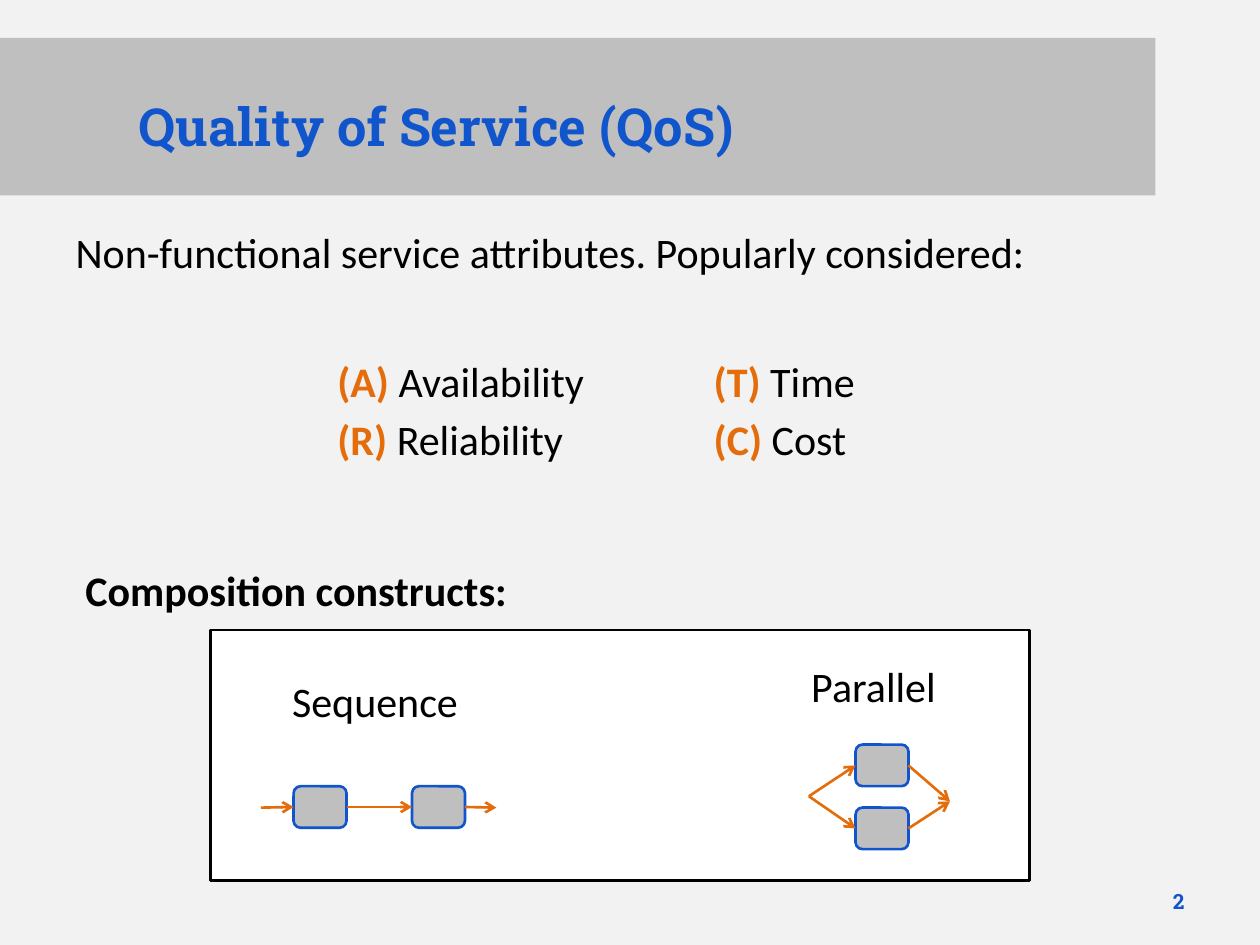
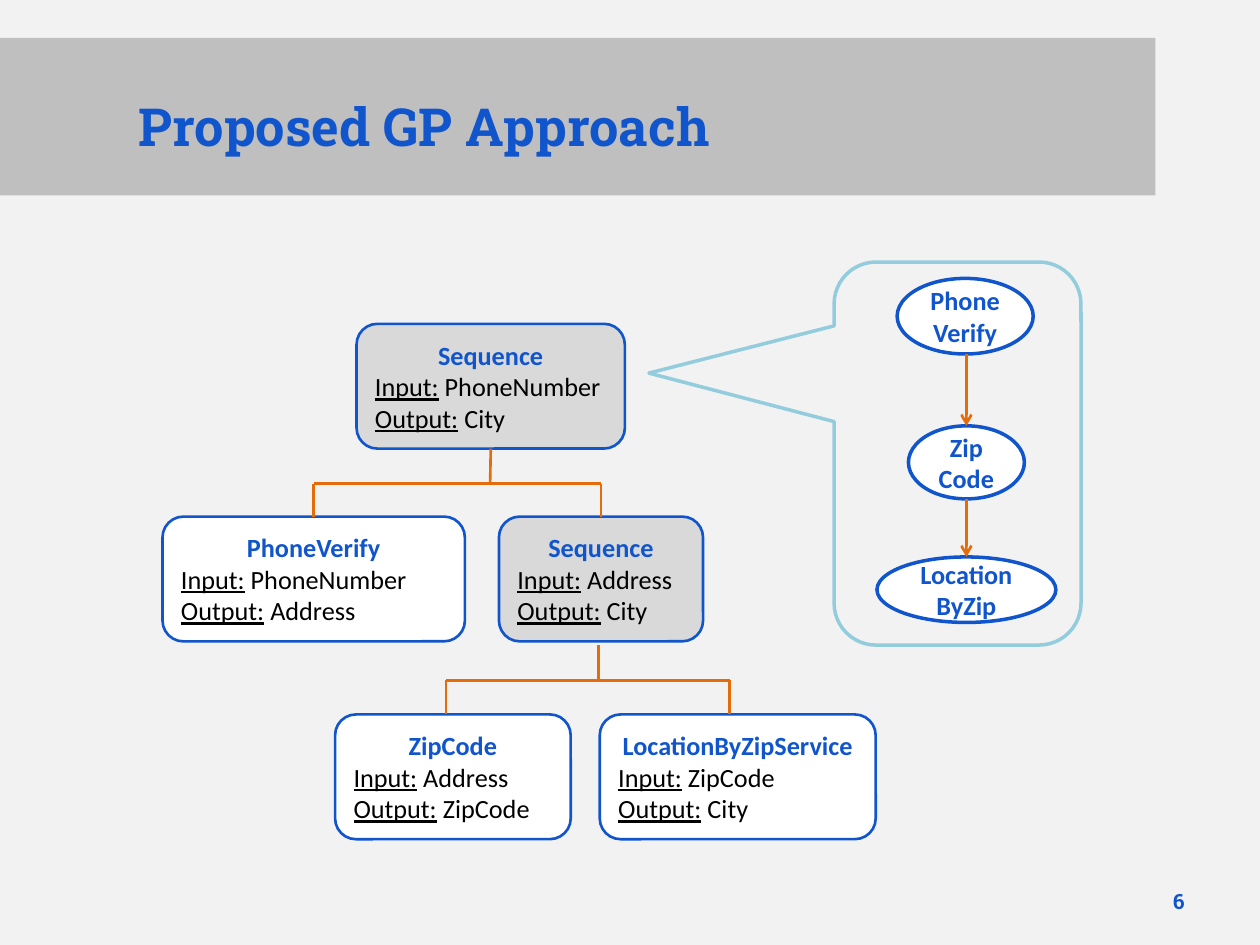
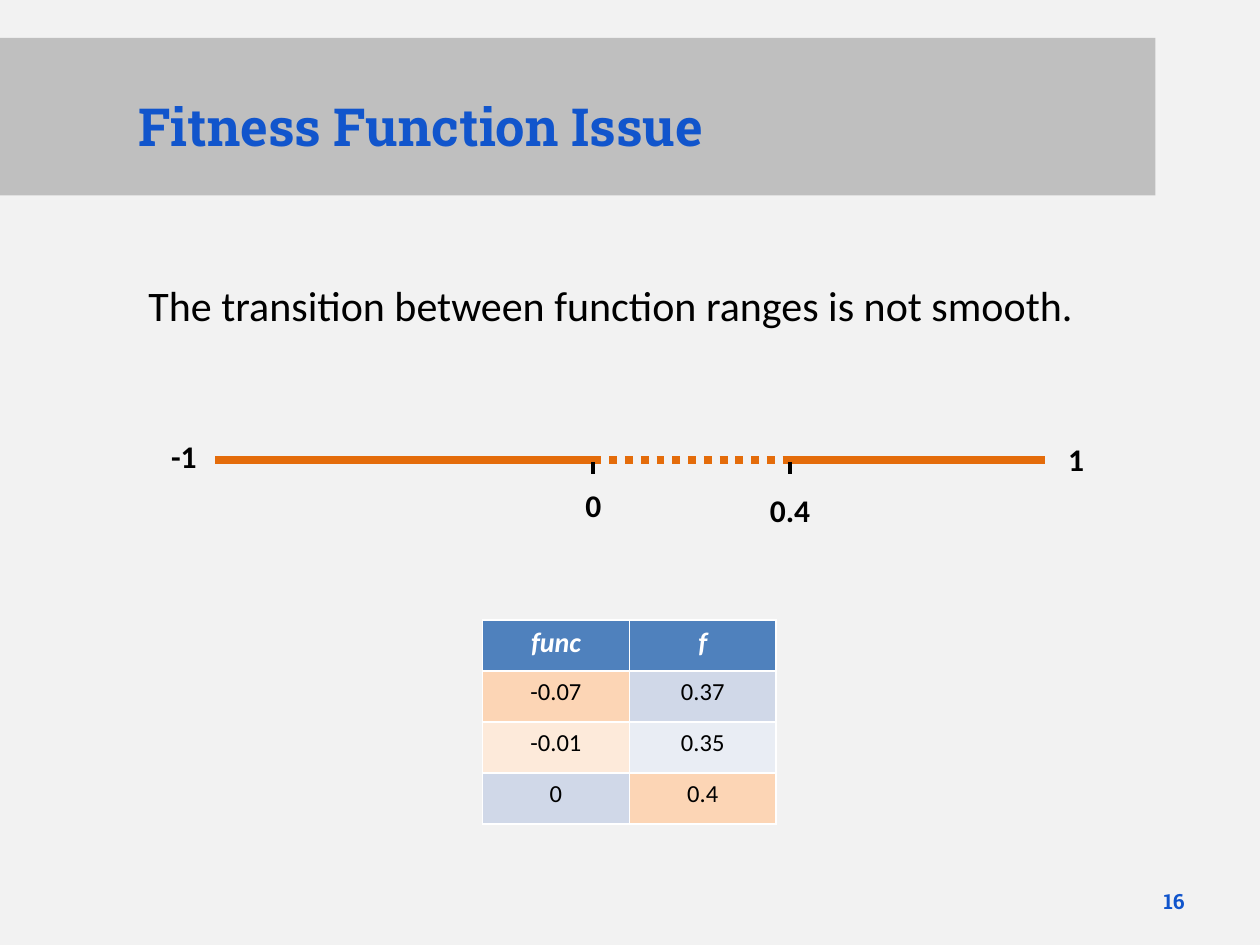
from lxml.etree import SubElement
from pptx import Presentation
from pptx.dml.color import RGBColor
from pptx.enum.dml import MSO_LINE
from pptx.enum.shapes import MSO_CONNECTOR, MSO_SHAPE
from pptx.enum.text import MSO_ANCHOR, PP_ALIGN
from pptx.oxml.ns import qn
from pptx.util import Inches, Pt

BLUE, ORANGE, BLACK, WHITE = "1155CC", "E46C0A", "000000", "FFFFFF"
PAPER, BAND, PALE_GRAY, CALLOUT_LINE = "F2F2F2", "BFBFBF", "D9D9D9", "93CDDD"
SLAB = "Roboto Slab"
TITLE_ONLY, TITLE_AND_BODY = 5, 1
LEFT, CENTER, RIGHT = PP_ALIGN.LEFT, PP_ALIGN.CENTER, PP_ALIGN.RIGHT
TERM = {"color": ORANGE, "bold": True}
HEADING = {"color": BLUE, "bold": True}


def color(value):
    return RGBColor.from_string(value)


def paint(shape, fill):
    shape.fill.solid()
    shape.fill.fore_color.rgb = color(fill)


def place(shape, at):
    for side, length in zip(("left", "top", "width", "height"), at):
        setattr(shape, side, Inches(length))


class Deck:
    def __init__(self):
        self.deck = Presentation()
        self.deck.slide_width, self.deck.slide_height = Inches(10), Inches(7.5)
        paint(self.deck.slide_master.background, PAPER)

    def new_page(self, layout, title, number):
        self.page = self.deck.slides.add_slide(self.deck.slide_layouts[layout])
        band = self.page.shapes.title
        place(band, (0, 0.3, 9.17, 1.25))
        paint(band, BAND)
        band.text_frame.margin_left = Inches(1.1)
        band.text_frame.margin_top = Inches(0.2)
        self.set_lines(band, [[(title, {**HEADING, "name": SLAB})]], size=30)
        self.text((9, 6.95, 0.5, 0.4), [[(number, {**HEADING, "name": SLAB})]],
                  size=12, align=RIGHT, anchor=MSO_ANCHOR.MIDDLE)

    def set_lines(self, box, lines, size=24, align=LEFT, before=0,
                  anchor=MSO_ANCHOR.MIDDLE):
        frame = box.text_frame
        frame.word_wrap = True
        frame.vertical_anchor = anchor
        for index, line in enumerate(lines):
            para = frame.add_paragraph() if index else frame.paragraphs[0]
            para.alignment = align
            para.space_before = Pt(before)
            for text, changes in line:
                span = para.add_run()
                span.text = text
                style = {"name": "Calibri", "size": Pt(size), "bold": False,
                         "color": BLACK, **changes}
                span.font.color.rgb = color(style.pop("color"))
                for key, value in style.items():
                    setattr(span.font, key, value)
        return frame

    def text(self, at, lines, anchor=MSO_ANCHOR.TOP, **style):
        box = self.page.shapes.add_textbox(*map(Inches, at))
        return self.set_lines(box, lines, anchor=anchor, **style)

    def body(self, at, sentence):
        box = self.page.placeholders[1]
        place(box, at)
        frame = self.set_lines(box, [[(sentence, {})]], before=4.8,
                               anchor=MSO_ANCHOR.TOP)
        properties = frame.paragraphs[0]._p.get_or_add_pPr()
        properties.set("marL", "0")
        properties.set("indent", "0")
        SubElement(properties, qn("a:buNone"))

    def shape(self, kind, at, fill, line=BLUE, width=1.5):
        shape = self.page.shapes.add_shape(kind, *map(Inches, at))
        shape.shadow.inherit = False
        paint(shape, fill)
        shape.line.color.rgb = color(line)
        shape.line.width = Pt(width)
        return shape

    def service(self, left, top):
        return self.shape(MSO_SHAPE.ROUNDED_RECTANGLE, (left, top, 0.42, 0.33), BAND)

    def node(self, left, top, width, name, needs, gives, fill=WHITE):
        box = self.shape(MSO_SHAPE.ROUNDED_RECTANGLE, (left, top, width, 0.99), fill)
        frame = self.set_lines(box, [
            [(name, HEADING)],
            [("Input:", {"underline": True}), (f" {needs}", {})],
            [("Output:", {"underline": True}), (f" {gives}", {})]], size=15)
        frame.paragraphs[0].alignment = CENTER
        return box

    def step(self, at, words):
        oval = self.shape(MSO_SHAPE.OVAL, at, WHITE, width=2)
        self.set_lines(oval, [[(word, HEADING)] for word in words], size=15, align=CENTER)

    def link(self, start, end, source=None, target=None, line=ORANGE, width=1.5,
             arrow=False, dash=None):
        link = self.page.shapes.add_connector(
            MSO_CONNECTOR.STRAIGHT, *map(Inches, start + end))
        link.line.color.rgb = color(line)
        link.line.width = Pt(width)
        if dash:
            link.line.dash_style = dash
        properties = link._element.spPr
        if arrow:
            SubElement(properties.find(qn("a:ln")), qn("a:tailEnd"), type="arrow")
        SubElement(properties, qn("a:effectLst"))
        if source:
            link.begin_connect(*source)
        if target:
            link.end_connect(*target)

    def bracket(self, stem, drops, top, bar, foot, parent=None, children=(None, None)):
        self.link((stem, top), (stem, bar), source=parent and (parent, 2))
        self.link((drops[0], bar), (drops[-1], bar))
        for drop, child in zip(drops, children):
            self.link((drop, bar), (drop, foot), target=child and (child, 0))

    def table(self, at, rows, fills):
        table = self.page.shapes.add_table(
            len(rows), len(rows[0]), *map(Inches, at)).table
        for row, (values, shades) in enumerate(zip(rows, fills)):
            style = {} if row else {"color": WHITE, "bold": True, "italic": True}
            for column, (value, shade) in enumerate(zip(values, shades)):
                cell = table.cell(row, column)
                paint(cell, shade)
                self.set_lines(cell, [[(value, style)]], size=14 if row else 16,
                               align=CENTER, anchor=MSO_ANCHOR.TOP)


def quality_page(deck):
    deck.new_page(TITLE_AND_BODY, "Quality of Service (QoS)", "2")
    deck.shape(MSO_SHAPE.RECTANGLE, (1.67, 5, 6.5, 1.99), WHITE, BLACK)
    deck.body((0.5, 1.75, 9, 0.67),
              "Non-functional service attributes. Popularly considered:")
    deck.text((0.58, 4.43, 9, 0.58),
              [[("Composition constructs:", {"bold": True})]], before=4.8)
    attributes = ("Availability", "Reliability", "Time", "Cost")
    columns = deck.text((2.58, 2.77, 6.17, 1.47),
                        [[(f"({name[0]}) ", TERM), (name, {})] for name in attributes],
                        before=4.8)
    columns.margin_bottom = Inches(0.4)
    columns._txBody.bodyPr.set("numCol", "2")

    for at, name in (((2.22, 5.31, 1.57, 0.5), "Sequence"),
                     ((6.34, 5.19, 1.33, 0.5), "Parallel")):
        deck.text(at, [[(name, {})]], before=4.8)

    fork, join = (6.42, 6.32), (7.54, 6.36)
    for top in (5.91, 6.41):
        service = deck.service(6.79, top)
        middle = top + 0.16
        deck.link(fork, (6.79, middle), target=(service, 1), arrow=True)
        deck.link((7.21, middle), join, source=(service, 3), arrow=True)

    first, second = (deck.service(left, 6.24) for left in (2.33, 3.27))
    for start, end, source, target in ((2.07, 2.33, None, (first, 1)),
                                       (2.75, 3.27, (first, 3), (second, 1)),
                                       (3.69, 3.94, (second, 3), None)):
        deck.link((start, 6.41), (end, 6.41), source, target, arrow=True)


def approach_page(deck):
    deck.new_page(TITLE_ONLY, "Proposed GP Approach", "6")
    callout = deck.shape(MSO_SHAPE.ROUNDED_RECTANGULAR_CALLOUT, (6.62, 2.08, 1.96, 3.04),
                         PAPER, CALLOUT_LINE, 2)
    for index, value in enumerate((-1.25, -0.21, 0.17)):
        callout.adjustments[index] = value

    root = deck.node(2.83, 2.57, 2.13, "Sequence", "PhoneNumber", "City", PALE_GRAY)
    verify = deck.node(1.29, 4.1, 2.4, "PhoneVerify", "PhoneNumber", "Address")
    branch = deck.node(3.96, 4.1, 1.62, "Sequence", "Address", "City", PALE_GRAY)
    deck.node(2.66, 5.67, 1.87, "ZipCode", "Address", "ZipCode")
    deck.node(4.76, 5.67, 2.19, "LocationByZipService", "ZipCode", "City")
    deck.bracket(3.89, (2.49, 4.77), 3.56, 3.84, 4.1, root, (verify, branch))
    deck.bracket(4.75, (3.54, 5.79), 5.12, 5.4, 5.67)

    deck.step((7.12, 2.21, 1.08, 0.6), ("Phone", "Verify"))
    deck.step((7.21, 3.38, 0.92, 0.58), ("Zip", "Code"))
    deck.step((6.96, 4.42, 1.42, 0.52), ("Location", "ByZip"))
    for top, bottom in ((2.81, 3.38), (3.96, 4.42)):
        deck.link((7.67, top), (7.67, bottom), arrow=True)


def fitness_page(deck):
    deck.new_page(TITLE_ONLY, "Fitness Function Issue", "16")
    deck.text((1.08, 2.17, 7.58, 0.5),
              [[("The transition between function ranges is not smooth.", {})]])

    axis, zero, threshold = 3.65, 4.71, 6.27
    for start, end, dash in ((1.71, zero, None), (threshold, 8.29, None),
                             (zero, threshold, MSO_LINE.ROUND_DOT)):
        deck.link((start, axis), (end, axis), width=4.5, dash=dash)
    for tick in (zero, threshold):
        deck.link((tick, 3.67), (tick, 3.76), line=BLACK, width=2.25)
    for middle, top, label in ((1.46, 3.42, "-1"), (8.54, 3.44, "1"),
                               (zero, 3.81, "0"), (threshold, 3.85, "0.4")):
        deck.text((middle - 0.3, top, 0.6, 0.42), [[(label, {"bold": True})]],
                  size=18, align=CENTER)

    peach, light_peach, blue, light_blue = "FCD5B5", "FDEADA", "D0D8E8", "E9EDF4"
    deck.table((3.83, 4.92, 2.33, 1.62),
               (("func", "f"), ("-0.07", "0.37"), ("-0.01", "0.35"), ("0", "0.4")),
               (("4F81BD", "4F81BD"), (peach, blue), (light_peach, light_blue),
                (blue, peach)))


def main():
    deck = Deck()
    for build in (quality_page, approach_page, fitness_page):
        build(deck)
    deck.deck.save("out.pptx")


if __name__ == "__main__":
    main()
